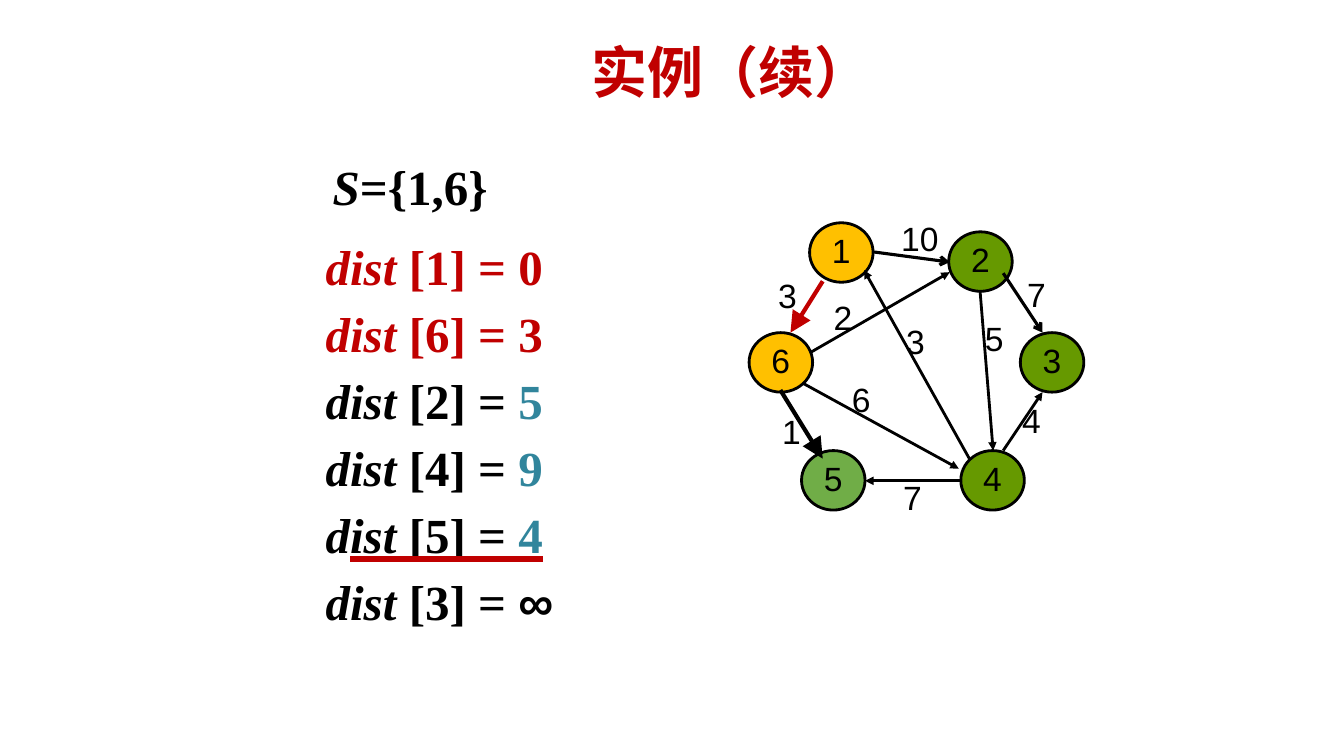
from lxml import etree
from pptx import Presentation
from pptx.dml.color import RGBColor
from pptx.enum.shapes import MSO_CONNECTOR, MSO_SHAPE
from pptx.enum.text import MSO_ANCHOR, MSO_UNDERLINE, PP_ALIGN
from pptx.oxml.ns import qn
from pptx.util import Pt

PX = 9144
BLACK = RGBColor(0x00, 0x00, 0x00)
RED = RGBColor(0xC0, 0x00, 0x00)
TEAL = RGBColor(0x31, 0x85, 0x9C)
AMBER = RGBColor(0xFF, 0xC0, 0x00)
GREEN = RGBColor(0x66, 0x99, 0x00)
LIGHT_GREEN = RGBColor(0x70, 0xAD, 0x47)

DISTANCES = [
    ("1", "0", RED, RED),
    ("6", "3", RED, RED),
    ("2", "5", BLACK, TEAL),
    ("4", "9", BLACK, TEAL),
    ("5", "4", BLACK, TEAL),
    ("3", "∞", BLACK, BLACK),
]
NEAREST = "5"

NODES = [
    ("1", 60, 0, AMBER),
    ("6", 0, 109, AMBER),
    ("5", 52, 226, LIGHT_GREEN),
    ("4", 210, 226, GREEN),
    ("3", 269, 109, GREEN),
    ("2", 198, 9, GREEN),
]
NODE_WIDTH, NODE_HEIGHT = 63, 59

THIN = (2, "triangle", "med")
THICK = (3, "triangle", "lg")
OPEN = (2.25, "arrow", "med")
EDGES = [
    ((73, 58), (41, 109), RED, THICK, "3", (19, 57)),
    ((53, 159), (208, 244), BLACK, THIN, "6", (92, 160)),
    ((31, 166), (73, 234), BLACK, THICK, "1", (23, 192)),
    ((210, 256), (115, 256), BLACK, THIN, "7", (143, 257)),
    ((62, 128), (199, 49), BLACK, THIN, "2", (74, 79)),
    ((252, 226), (291, 168), BLACK, THIN, "4", (261, 181)),
    ((219, 235), (114, 47), BLACK, THIN, "3", (146, 102)),
    ((229, 67), (242, 226), BLACK, THIN, "5", (224, 99)),
    ((124, 29), (199, 39), BLACK, OPEN, "10", (141, 0)),
    ((252, 50), (291, 109), BLACK, OPEN, "7", (266, 56)),
]


def px(*lengths):
    return [length * PX for length in lengths]


def set_insets(frame, top=0, bottom=0):
    frame.margin_left = frame.margin_right = 0
    frame.margin_top, frame.margin_bottom = px(top, bottom)


def style(run, font_name, size, color, bold=False, italic=False):
    font = run.font
    font.name, font.size = font_name, Pt(size)
    font.bold, font.italic = bold, italic
    font.color.rgb = color


def underline_red(run):
    run.font.underline = MSO_UNDERLINE.HEAVY_LINE
    underline_fill = etree.Element(qn("a:uFill"))
    solid = etree.SubElement(underline_fill, qn("a:solidFill"))
    etree.SubElement(solid, qn("a:srgbClr")).set("val", str(RED))
    run.font._element.find(qn("a:latin")).addprevious(underline_fill)


def add_title(slide, left, top, width, height):
    frame = slide.shapes.add_textbox(*px(left, top, width, height)).text_frame
    frame.word_wrap = True
    set_insets(frame, top=2)
    frame.vertical_anchor = MSO_ANCHOR.MIDDLE
    frame.text = "实例（续）"
    heading = frame.paragraphs[0]
    heading.alignment = PP_ALIGN.CENTER
    run = heading.runs[0]
    style(run, "Noto Sans CJK SC", 40, RED, bold=True)
    east_asian = etree.Element(qn("a:ea"))
    east_asian.set("typeface", "Noto Sans CJK SC")
    run.font._element.find(qn("a:latin")).addnext(east_asian)


def add_line(paragraph, indent, parts):
    paragraph._p.get_or_add_pPr().set("marL", str(indent * PX))
    for text, color, italic, underlined in parts:
        run = paragraph.add_run()
        run.text = text
        font_name = "Arial" if text == "∞" else "Times New Roman"
        style(run, font_name, 35, color, bold=True, italic=italic)
        if underlined:
            underline_red(run)


def add_distances(slide, left, top, width, height):
    frame = slide.shapes.add_textbox(*px(left, top, width, height)).text_frame
    frame.word_wrap = True
    set_insets(frame, top=25)
    add_line(frame.paragraphs[0], 9, [("S", BLACK, True, False), ("={1,6}", BLACK, False, False)])
    for index, (node, distance, color, value_color) in enumerate(DISTANCES):
        paragraph = frame.add_paragraph()
        nearest = node == NEAREST
        add_line(paragraph, 2, [
            ("d", color, True, False),
            ("ist ", color, True, nearest),
            (f"[{node}] = ", color, False, nearest),
            (distance, value_color, False, nearest),
        ])
        paragraph.space_before = Pt(5.8 if index else 15.5)


def add_node(slide, left, top, number, fill):
    node = slide.shapes.add_shape(MSO_SHAPE.OVAL, *px(left, top, NODE_WIDTH, NODE_HEIGHT))
    node.shadow.inherit = False
    node.fill.solid()
    node.fill.fore_color.rgb = fill
    node.line.color.rgb = BLACK
    node.line.width = Pt(2)
    frame = node.text_frame
    set_insets(frame, bottom=4)
    frame.vertical_anchor = MSO_ANCHOR.MIDDLE
    frame.text = number
    frame.paragraphs[0].alignment = PP_ALIGN.CENTER
    style(frame.paragraphs[0].runs[0], "Arial", 24, BLACK)


def add_edge(slide, start, end, color, weight, head, head_size):
    edge = slide.shapes.add_connector(MSO_CONNECTOR.STRAIGHT, *px(*start, *end))
    edge.line.color.rgb = color
    edge.line.width = Pt(weight)
    arrowhead = etree.SubElement(edge.line._get_or_add_ln(), qn("a:tailEnd"))
    arrowhead.set("type", head)
    arrowhead.set("w", head_size)
    arrowhead.set("len", head_size)
    etree.SubElement(edge._element.spPr, qn("a:effectLst"))


def add_cost(slide, left, top, cost):
    frame = slide.shapes.add_textbox(*px(left, top, 66, 41)).text_frame
    frame.word_wrap = True
    frame.text = cost
    frame.paragraphs[0].line_spacing = Pt(21.6)
    style(frame.paragraphs[0].runs[0], "Arial", 24, BLACK)


def add_graph(slide, left, top):
    def place(point):
        return left + point[0], top + point[1]

    for number, x, y, fill in NODES:
        add_node(slide, *place((x, y)), number, fill)
    for start, end, color, arrow, _, _ in EDGES:
        add_edge(slide, place(start), place(end), color, *arrow)
    for *_, cost, corner in EDGES:
        add_cost(slide, *place(corner), cost)


def main():
    deck = Presentation()
    deck.slide_width, deck.slide_height = px(1333, 750)
    slide = deck.slides.add_slide(deck.slide_layouts[6])
    add_title(slide, 287, 35, 876, 69)
    add_distances(slide, 321, 130, 250, 482)
    add_graph(slide, 743, 221)
    deck.save("out.pptx")


if __name__ == "__main__":
    main()
